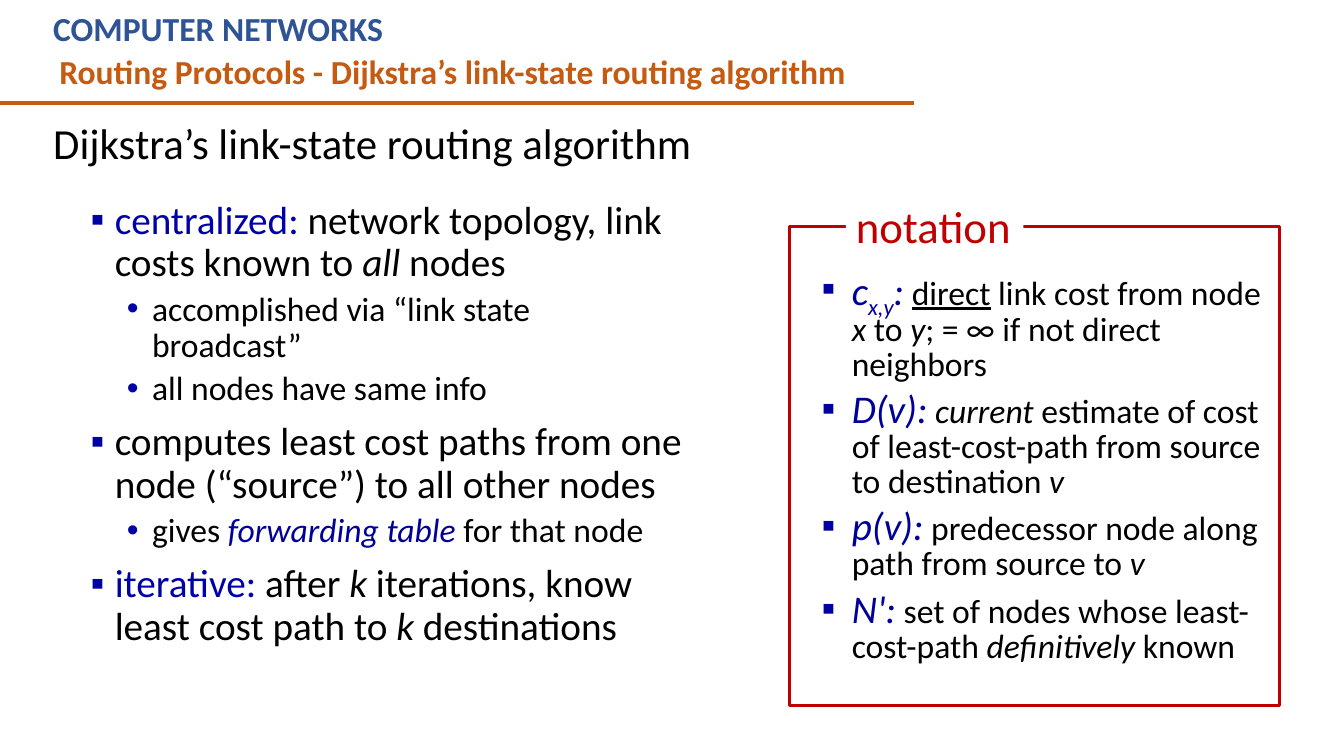
from lxml import etree
from pptx import Presentation
from pptx.dml.color import RGBColor
from pptx.enum.shapes import MSO_CONNECTOR, MSO_SHAPE
from pptx.enum.text import MSO_ANCHOR, PP_ALIGN
from pptx.oxml.ns import qn
from pptx.util import Inches, Pt

STRAIGHT = MSO_CONNECTOR.STRAIGHT
RECTANGLE = MSO_SHAPE.RECTANGLE
LEFT = PP_ALIGN.LEFT
TOP, MIDDLE = MSO_ANCHOR.TOP, MSO_ANCHOR.MIDDLE

FONT = "Calibri"
BLACK, WHITE = "000000", "FFFFFF"
BLUE, NAVY, BULLET_BLUE = "0000A8", "000099", "0000A3"
RED, ORANGE, HEADER_BLUE = "C00000", "C55A11", "2F5496"

MAIN = {"size": 28}
SUB = {"size": 24}
TERM = {"size": 28, "color": BLUE}
SYMBOL = {"size": 28, "color": NAVY, "italic": True}
MAIN_ITALIC = {**MAIN, "italic": True}
SUB_ITALIC = {**SUB, "italic": True}

MAIN_LEVEL = {"indent": 0.39, "hang": 0.24, "spacing": 0.9, "before": 10,
              "bullet": "▪", "color": BULLET_BLUE}
SUB_LEVEL = {"level": 1, "indent": 0.76, "hang": 0.25, "spacing": 0.9, "before": 5,
             "bullet": "•", "color": BLUE}
NOTATION_LEVEL = {"indent": 0.44, "hang": 0.3, "spacing": 0.85, "before": 6,
                  "bullet": "▪", "color": BULLET_BLUE}

ALGORITHM_POINTS = [
    (MAIN_LEVEL, [("centralized: ", TERM), ("network topology, link costs known to ", MAIN),
                  ("all", MAIN_ITALIC), (" nodes", MAIN)]),
    (SUB_LEVEL, [("accomplished via “link state broadcast”", SUB)]),
    (SUB_LEVEL, [("all nodes have same info", SUB)]),
    (MAIN_LEVEL, [("computes least cost paths from one node (“source”) to all other nodes", MAIN)]),
    (SUB_LEVEL, [("gives ", SUB), ("forwarding table", {**SUB_ITALIC, "color": NAVY}),
                 (" for that node", SUB)]),
    (MAIN_LEVEL, [("iterative: ", TERM), ("after ", MAIN), ("k", MAIN_ITALIC),
                  (" iterations, know least cost path to ", MAIN), ("k ", MAIN_ITALIC),
                  ("destinations", MAIN)]),
]

NOTATION_POINTS = [
    (NOTATION_LEVEL, runs) for runs in (
        [("c", SYMBOL), ("x,y", {**SYMBOL, "baseline": -25000}), (":", SYMBOL), (" ", SUB_ITALIC),
         ("direct", {**SUB, "underline": True}), (" link cost from node ", SUB),
         ("x", SUB_ITALIC), (" to ", SUB), ("y", SUB_ITALIC),
         ("; = ∞ if not direct neighbors", SUB)],
        [("D(v):", SYMBOL), (" current", SUB_ITALIC),
         (" estimate of cost of least-cost-path from source to destination ", SUB),
         ("v", SUB_ITALIC)],
        [("p(v):", SYMBOL), (" ", SUB_ITALIC),
         ("predecessor node along path from source to ", SUB), ("v", SUB_ITALIC)],
        [("N':", SYMBOL), (" ", SUB_ITALIC), ("set of nodes whose least-cost-path ", SUB),
         ("definitively", SUB_ITALIC), (" known", SUB)],
    )
]


def rgb(value):
    """Turn a hex string into a colour."""
    return RGBColor.from_string(value)


def add_run(paragraph, text, size, color=BLACK, bold=False, italic=False,
            underline=False, baseline=None):
    """Append one styled run to a paragraph."""
    run = paragraph.add_run()
    run.text = text
    font = run.font
    font.name, font.size, font.color.rgb = FONT, Pt(size), rgb(color)
    font.bold, font.italic, font.underline = bold, italic, underline
    if baseline is not None:
        font._element.set("baseline", str(baseline))


def add_bullet(paragraph, style):
    """Give a paragraph its hanging indent and coloured bullet."""
    properties = paragraph._p.get_or_add_pPr()
    properties.set("marL", str(Inches(style["indent"])))
    properties.set("indent", str(-Inches(style["hang"])))
    color = etree.SubElement(properties, qn("a:buClr"))
    etree.SubElement(color, qn("a:srgbClr"), val=style["color"])
    etree.SubElement(properties, qn("a:buFont"), typeface="Arial")
    etree.SubElement(properties, qn("a:buChar"), char=style["bullet"])


def add_text_box(slide, left, top, width, height, anchor=TOP):
    """Add an empty wrapping text box and return its text frame."""
    shape = slide.shapes.add_textbox(Inches(left), Inches(top), Inches(width), Inches(height))
    frame = shape.text_frame
    frame.word_wrap = True
    frame.vertical_anchor = anchor
    return frame


def add_rectangle(slide, left, top, width, height):
    """Add a shadowless rectangle without fill or line."""
    shape = slide.shapes.add_shape(RECTANGLE, Inches(left), Inches(top),
                                   Inches(width), Inches(height))
    shape.shadow.inherit = False
    shape.fill.background()
    shape.line.fill.background()
    return shape


def add_points(slide, points, left, top, width, height):
    """Add a bulleted list in the given box."""
    frame = add_text_box(slide, left, top, width, height)
    for index, (style, runs) in enumerate(points):
        paragraph = frame.add_paragraph() if index else frame.paragraphs[0]
        paragraph.level = style.get("level", 0)
        paragraph.line_spacing = style["spacing"]
        paragraph.space_before = Pt(style["before"] if index else 0)
        add_bullet(paragraph, style)
        for text, run_style in runs:
            add_run(paragraph, text, **run_style)


def add_header(slide, left, top, width):
    """Add the course name, the topic and the rule below them."""
    course = add_text_box(slide, left, top, width, 0.5)
    add_run(course.paragraphs[0], "COMPUTER NETWORKS", 24, HEADER_BLUE, bold=True)
    topic = add_text_box(slide, left + 0.06, top + 0.43, width, 0.5)
    add_run(topic.paragraphs[0], "Routing Protocols - Dijkstra’s link-state routing algorithm",
            24, ORANGE, bold=True)
    rule_top = Inches(top + 0.99)
    rule = slide.shapes.add_connector(STRAIGHT, 0, rule_top, Inches(9.07), rule_top)
    rule.line.color.rgb = rgb(ORANGE)
    rule.line.width = Pt(3)
    etree.SubElement(rule._element.spPr, qn("a:effectLst"))


def add_title(slide, left, top, width, height):
    """Add the slide title."""
    paragraph = add_text_box(slide, left, top, width, height, MIDDLE).paragraphs[0]
    paragraph.line_spacing = 0.9
    add_run(paragraph, "Dijkstra’s link-state routing algorithm", 30.6)


def add_notation(slide, left, top, width, height):
    """Add the framed notation list with its label set into the top edge."""
    add_points(slide, NOTATION_POINTS, left + 0.08, top + 0.37, width - 0.15, height - 0.12)
    frame = add_rectangle(slide, left, top, width, height)
    frame.line.color.rgb = rgb(RED)
    frame.line.width = Pt(2.25)
    label = add_rectangle(slide, left + 0.56, top - 0.33, 1.76, 0.64)
    label.fill.solid()
    label.fill.fore_color.rgb = rgb(WHITE)
    label.text_frame.vertical_anchor = TOP
    paragraph = label.text_frame.paragraphs[0]
    paragraph.alignment = LEFT
    add_run(paragraph, "notation", 32, RED)


def main():
    """Build and save the presentation."""
    presentation = Presentation()
    presentation.slide_width, presentation.slide_height = Inches(13.33), Inches(7.5)
    slide = presentation.slides.add_slide(presentation.slide_layouts[6])
    add_title(slide, 0.43, 1.15, 10.76, 0.59)
    add_points(slide, ALGORITHM_POINTS, 0.65, 1.94, 6.24, 5.36)
    add_notation(slide, 7.83, 2.25, 4.86, 4.75)
    add_header(slide, 0.43, 0.03, 9)
    presentation.save("out.pptx")


if __name__ == "__main__":
    main()
